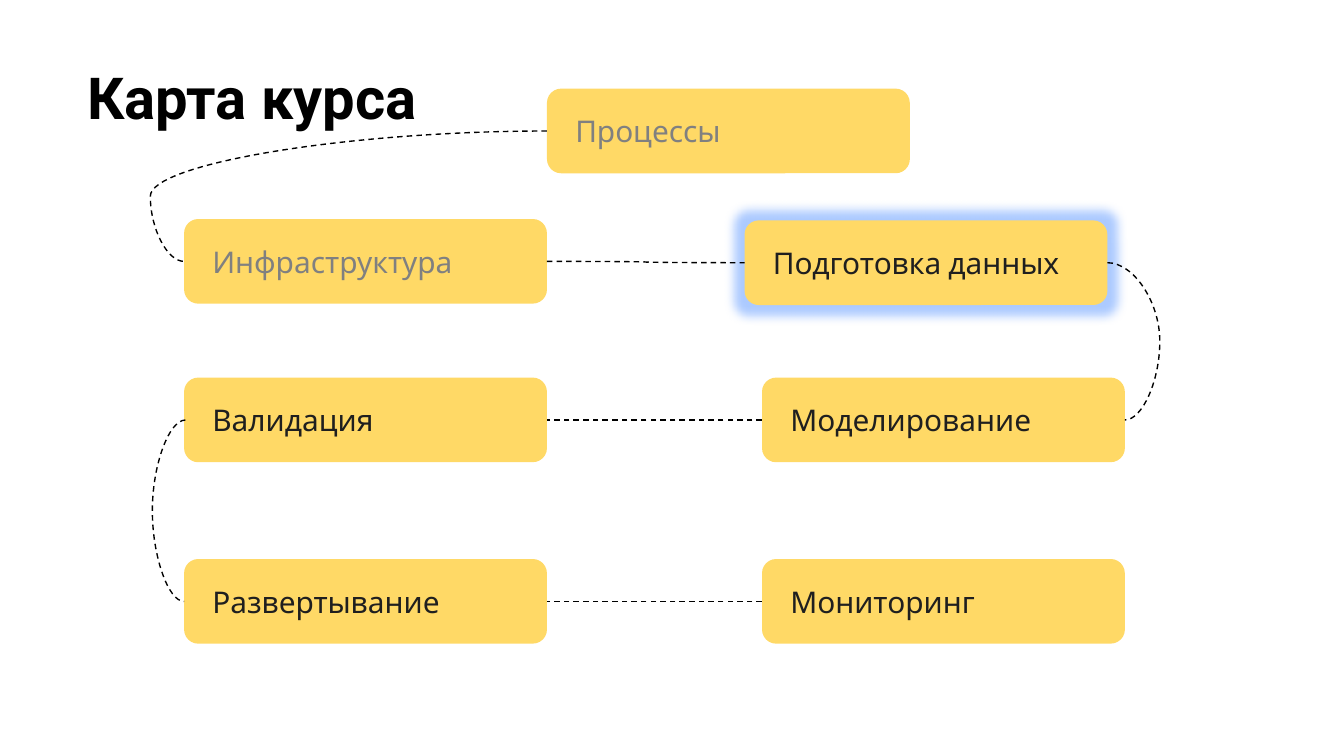
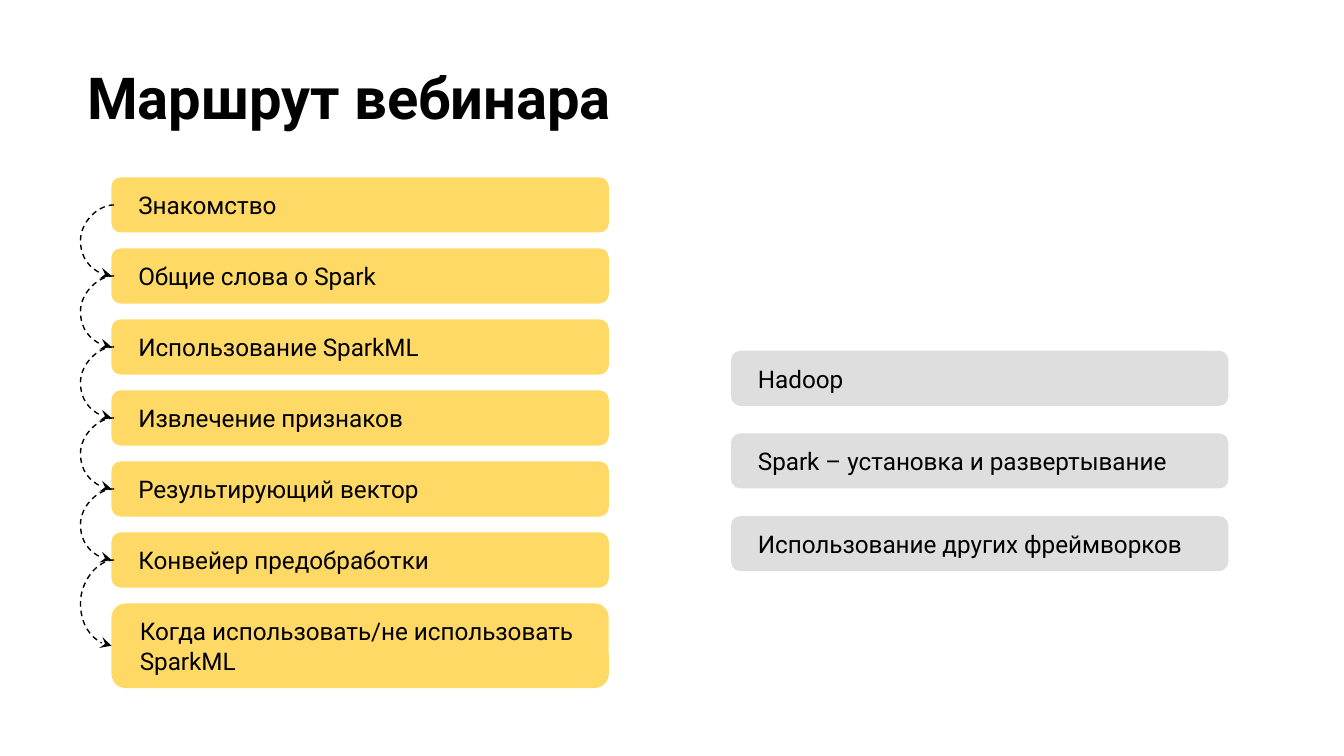
from lxml.etree import SubElement
from pptx import Presentation
from pptx.dml.color import RGBColor
from pptx.enum.dml import MSO_LINE
from pptx.enum.shapes import MSO_CONNECTOR, MSO_SHAPE
from pptx.enum.text import MSO_ANCHOR, PP_ALIGN
from pptx.oxml.ns import qn
from pptx.util import Inches, Pt

YELLOW, GREY, BLACK, WHITE = "FFD966", "DEDEDE", "000000", "FFFFFF"
DONE, AHEAD, GLOW = "808080", "1F1F1F", "5A96FF"

TITLE_FORMAT = {"name": "Roboto", "size": Pt(31), "bold": True}
STAGE_FORMAT = {"name": "Karla", "size": Pt(16)}
STEP_FORMAT = {"name": "Roboto", "size": Pt(13)}

MAP_TITLE = "Карта курса"
STAGE_WIDTH, STAGE_HEIGHT = 2.7, 0.63
CURRENT_STAGE = "Подготовка данных"
STAGES = {  # name: left, top, text colour
    "Процессы": (4.07, 0.66, DONE),
    "Инфраструктура": (1.37, 1.63, DONE),
    CURRENT_STAGE: (5.54, 1.64, AHEAD),
    "Валидация": (1.37, 2.81, AHEAD),
    "Моделирование": (5.67, 2.81, AHEAD),
    "Развертывание": (1.37, 4.16, AHEAD),
    "Мониторинг": (5.67, 4.16, AHEAD),
}
STAGE_LINKS = [  # from, side, to, side, x of the bend (None: halfway)
    ("Процессы", "left", "Инфраструктура", "left", 1.12),
    ("Инфраструктура", "right", CURRENT_STAGE, "left", None),
    (CURRENT_STAGE, "right", "Моделирование", "right", 8.63),
    ("Моделирование", "left", "Валидация", "right", None),
    ("Валидация", "left", "Развертывание", "left", 1.13),
    ("Мониторинг", "left", "Развертывание", "right", None),
]

ROUTE_TITLE = "Маршрут вебинара"
STEP_WIDTH, STEP_HEIGHT, LAST_STEP_HEIGHT = 3.7, 0.41, 0.63
STEPS_LEFT, STEPS_TOP, LAST_STEP_TOP = 0.83, 1.32, 4.49
STEP_BEND = 0.6
STEPS = [
    "Знакомство",
    "Общие слова о Spark",
    "Использование SparkML",
    "Извлечение признаков",
    "Результирующий вектор",
    "Конвейер предобработки",
    "Когда использовать/не использовать SparkML",
]
EXTRAS_LEFT, EXTRAS_TOP, LAST_EXTRA_TOP = 5.44, 2.61, 3.84
EXTRAS = ["Hadoop", "Spark – установка и развертывание", "Использование других фреймворков"]


def color(value):
    return RGBColor.from_string(value)


def write(shape, text, text_color, font_format, side_inset, anchor):
    frame = shape.text_frame
    frame_format = {
        "word_wrap": True,
        "vertical_anchor": anchor,
        "margin_left": Inches(side_inset),
        "margin_right": Inches(side_inset),
        "margin_top": Inches(0.1),
        "margin_bottom": Inches(0.1),
    }
    for name, value in frame_format.items():
        setattr(frame, name, value)
    paragraph = frame.paragraphs[0]
    paragraph.alignment = PP_ALIGN.LEFT
    run = paragraph.add_run()
    run.text = text
    for name, value in font_format.items():
        setattr(run.font, name, value)
    run.font.color.rgb = color(text_color)


def add_titled_slide(presentation, title):
    slide = presentation.slides.add_slide(presentation.slide_layouts[6])
    slide.background.fill.solid()
    slide.background.fill.fore_color.rgb = color(WHITE)
    box = slide.shapes.add_textbox(Inches(0.55), Inches(0.36), Inches(9.32), Inches(1.2))
    write(box, title, BLACK, TITLE_FORMAT, 0.1, MSO_ANCHOR.TOP)
    return slide


def add_card(slide, bounds, text, fill, text_color, font_format):
    shape = slide.shapes.add_shape(MSO_SHAPE.ROUNDED_RECTANGLE, *map(Inches, bounds))
    shape.adjustments[0] = 0.167
    shape.shadow.inherit = False
    shape.fill.solid()
    shape.fill.fore_color.rgb = color(fill)
    shape.line.fill.background()
    write(shape, text, text_color, font_format, 0.18, MSO_ANCHOR.MIDDLE)
    return shape


def add_glow(shape):
    effects = shape._element.spPr.find(qn("a:effectLst"))
    glow = SubElement(effects, qn("a:glow"), rad=str(Inches(0.15)))
    tint = SubElement(glow, qn("a:srgbClr"), val=GLOW)
    SubElement(tint, qn("a:alpha"), val="50000")


def add_curve(slide, start, end, bend=None, arrow=False):
    """Draw a dashed curve whose middle passes through x = bend."""
    connector = slide.shapes.add_connector(
        MSO_CONNECTOR.CURVE, *map(Inches, (*start, *end)))
    connector.line.color.rgb = color(BLACK)
    connector.line.width = Pt(0.75)
    connector.line.dash_style = MSO_LINE.DASH
    properties = connector._element.spPr
    if bend is not None:
        share = (bend - start[0]) / (end[0] - start[0])
        guides = properties.find(qn("a:prstGeom")).get_or_add_avLst()
        SubElement(guides, qn("a:gd"), name="adj1", fmla=f"val {round(share * 100000)}")
    if arrow:
        SubElement(properties.find(qn("a:ln")), qn("a:tailEnd"), type="stealth")
    SubElement(properties, qn("a:effectLst"))


def side_point(stage, side):
    left, top, _ = STAGES[stage]
    return left + (STAGE_WIDTH if side == "right" else 0), top + STAGE_HEIGHT / 2


def spread(first, last, count):
    """Return count evenly spaced values from first to last."""
    return [first + (last - first) * index / (count - 1) for index in range(count)]


def build_map(presentation):
    slide = add_titled_slide(presentation, MAP_TITLE)
    for stage, (left, top, text_color) in STAGES.items():
        card = add_card(slide, (left, top, STAGE_WIDTH, STAGE_HEIGHT),
                        stage, YELLOW, text_color, STAGE_FORMAT)
        if stage == CURRENT_STAGE:
            add_glow(card)
    for source, source_side, target, target_side, bend in STAGE_LINKS:
        start, end = side_point(source, source_side), side_point(target, target_side)
        if start[0] == end[0]:
            start = start[0] + 0.01, start[1]  # a bend needs some width
        add_curve(slide, start, end, bend)


def build_route(presentation):
    slide = add_titled_slide(presentation, ROUTE_TITLE)
    tops = spread(STEPS_TOP, LAST_STEP_TOP, len(STEPS))
    heights = [STEP_HEIGHT] * (len(STEPS) - 1) + [LAST_STEP_HEIGHT]
    for text, top, height in zip(STEPS, tops, heights):
        add_card(slide, (STEPS_LEFT, top, STEP_WIDTH, height),
                 text, YELLOW, BLACK, STEP_FORMAT)
    for text, top in zip(EXTRAS, spread(EXTRAS_TOP, LAST_EXTRA_TOP, len(EXTRAS))):
        add_card(slide, (EXTRAS_LEFT, top, STEP_WIDTH, STEP_HEIGHT),
                 text, GREY, BLACK, STEP_FORMAT)
    middles = [top + height / 2 for top, height in zip(tops, heights)]
    for upper, lower in zip(middles, middles[1:]):
        add_curve(slide, (STEPS_LEFT + 0.02, upper), (STEPS_LEFT, lower), STEP_BEND, arrow=True)


def main():
    presentation = Presentation()
    presentation.slide_width = Inches(10)
    presentation.slide_height = Inches(10 * 9 / 16)
    build_map(presentation)
    build_route(presentation)
    presentation.save("out.pptx")


if __name__ == "__main__":
    main()
